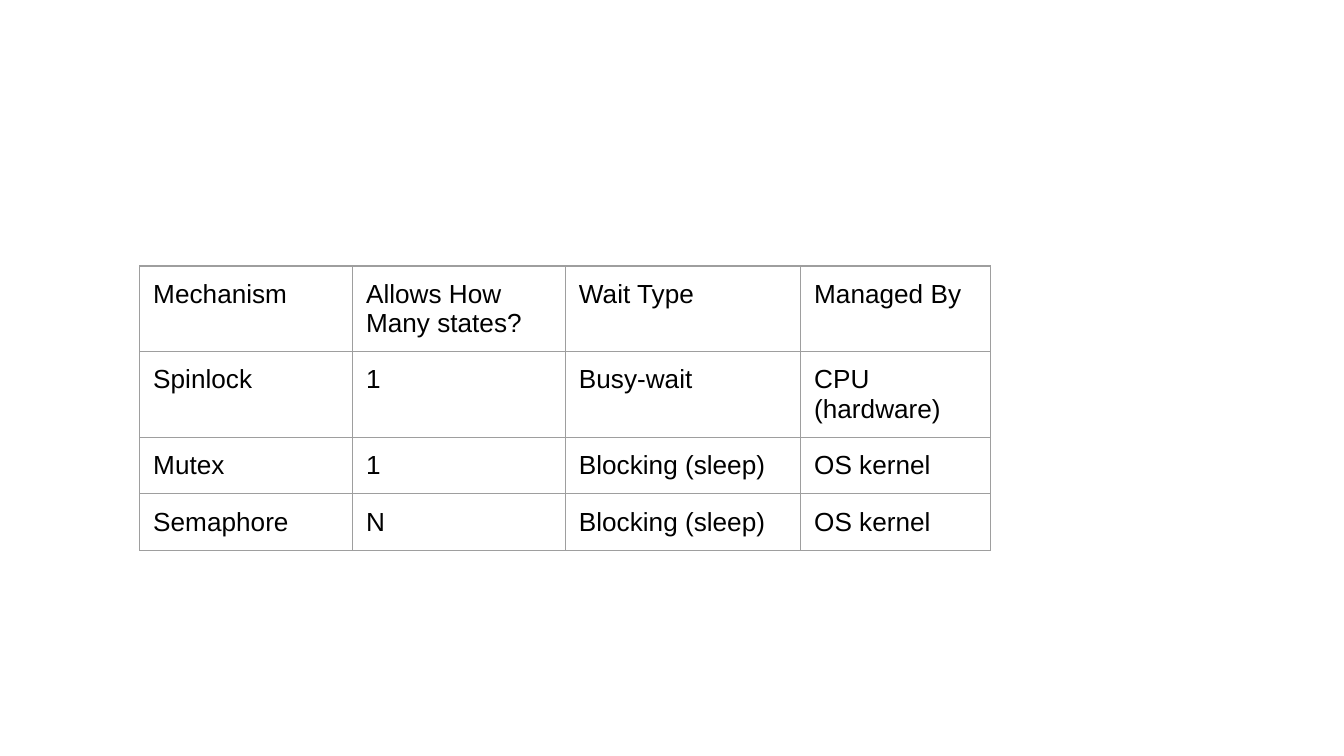
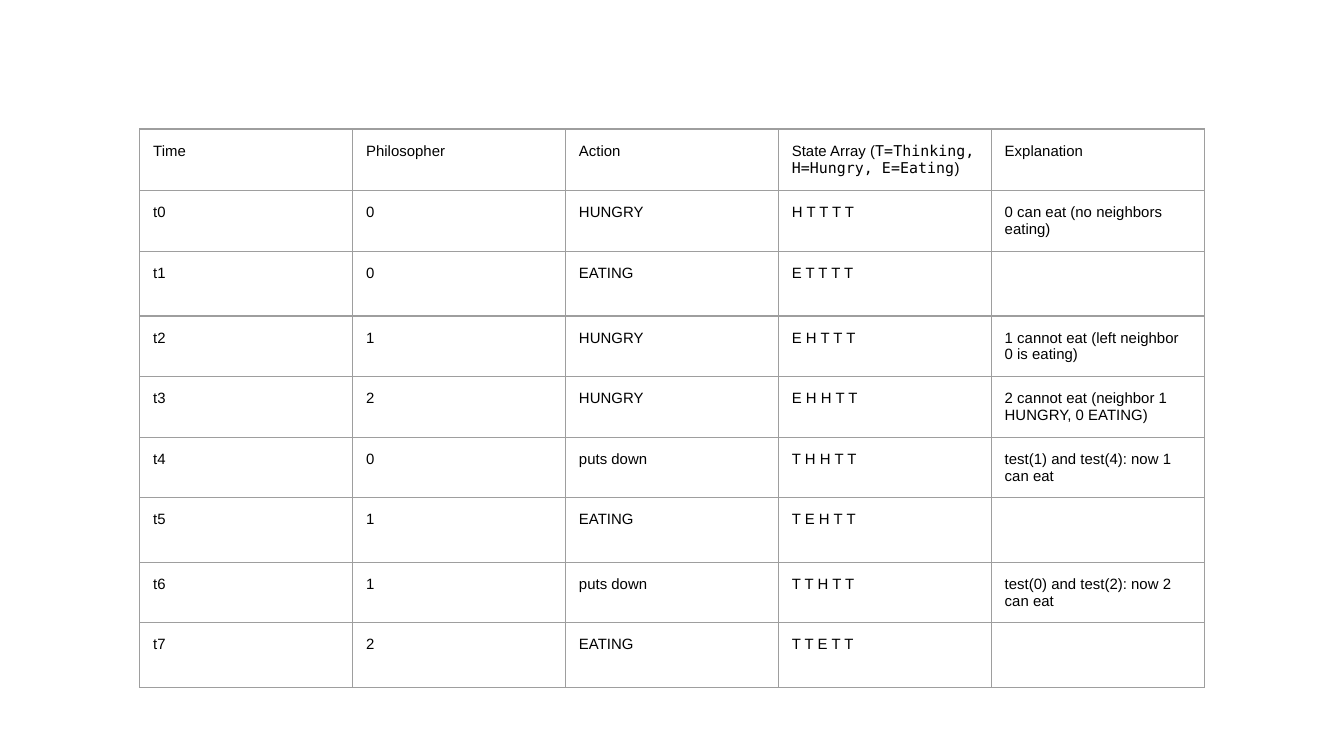
import pptx
import pptx.dml.color
import pptx.util
from lxml import etree
from pptx.oxml.ns import qn

Inches = pptx.util.Inches
Pt = pptx.util.Pt

COLORS = {"text": "000000", "border": "9E9E9E"}
FONT = "Arial"
MONO = "DejaVu Sans Mono"
LEFT = 1.04
MARGIN = 0.1
BORDER_WIDTH = 0.75
ROW_HEIGHT = 0.42
COLUMN_WIDTH = 7.92 / 5
EMPTY_SIZE = 18

MECHANISMS = [
    ["Mechanism", "Allows How Many states?", "Wait Type", "Managed By"],
    ["Spinlock", "1", "Busy-wait", "CPU (hardware)"],
    ["Mutex", "1", "Blocking (sleep)", "OS kernel"],
    ["Semaphore", "N", "Blocking (sleep)", "OS kernel"],
]

# A cell given as a list holds (text, font) runs.
STATE_HEADER = [
    ("State Array (", FONT),
    ("T=Thinking, H=Hungry, E=Eating", MONO),
    (")", FONT),
]
PHILOSOPHERS = [
    ["Time", "Philosopher", "Action", STATE_HEADER, "Explanation"],
    ["t0", "0", "HUNGRY", "H T T T T", "0 can eat (no neighbors eating)"],
    ["t1", "0", "EATING", "E T T T T", ""],
    ["t2", "1", "HUNGRY", "E H T T T", "1 cannot eat (left neighbor 0 is eating)"],
    ["t3", "2", "HUNGRY", "E H H T T", "2 cannot eat (neighbor 1 HUNGRY, 0 EATING)"],
    ["t4", "0", "puts down", "T H H T T", "test(1) and test(4): now 1 can eat"],
    ["t5", "1", "EATING", "T E H T T", ""],
    ["t6", "1", "puts down", "T T H T T", "test(0) and test(2): now 2 can eat"],
    ["t7", "2", "EATING", "T T E T T", ""],
]


class Deck:
    """Holds the presentation, its style and the current slide."""

    def __init__(self):
        self.prs = pptx.Presentation()
        self.prs.slide_width = Inches(10)
        self.prs.slide_height = self.prs.slide_width * 9 // 16
        self.s = None

    def slide(self):
        self.s = self.prs.slides.add_slide(self.prs.slide_layouts[6])

    def borders(self, cell):
        tcPr = cell._tc.get_or_add_tcPr()
        for side in ("a:lnL", "a:lnR", "a:lnT", "a:lnB"):
            ln = etree.SubElement(tcPr, qn(side), w=str(Pt(BORDER_WIDTH)))
            fill = etree.SubElement(ln, qn("a:solidFill"))
            etree.SubElement(fill, qn("a:srgbClr"), val=COLORS["border"])

    def empty(self, p):
        """Give an empty paragraph the font that sets its line height."""
        end = etree.SubElement(p._p, qn("a:endParaRPr"), sz=str(EMPTY_SIZE * 100))
        etree.SubElement(end, qn("a:latin"), typeface=FONT)

    def cell(self, cell, content, size):
        cell.margin_left = cell.margin_right = Inches(MARGIN)
        cell.margin_top = cell.margin_bottom = Inches(MARGIN)
        self.borders(cell)
        cell.fill.background()
        p = cell.text_frame.paragraphs[0]
        if not content:
            self.empty(p)
            return
        p.font.size = Pt(size)
        p.font.color.rgb = pptx.dml.color.RGBColor.from_string(COLORS["text"])
        if isinstance(content, str):
            p.font.name = FONT
            p.add_run().text = content
            return
        for text, font in content:
            r = p.add_run()
            r.text = text
            r.font.name = font

    def table(self, top, widths, heights, rows, size):
        frame = self.s.shapes.add_table(
            len(rows), len(widths), Inches(LEFT), Inches(top),
            Inches(sum(widths)), Inches(sum(heights)))
        table = frame.table
        table.first_row = table.horz_banding = False
        for column, width in zip(table.columns, widths):
            column.width = Inches(width)
        for row, height, contents in zip(table.rows, heights, rows):
            row.height = Inches(height)
            for cell, content in zip(row.cells, contents):
                self.cell(cell, content, size)


def main():
    deck = Deck()
    deck.slide()
    deck.table(1.98, [COLUMN_WIDTH, COLUMN_WIDTH, 1.75, 1.41],
               [ROW_HEIGHT] * len(MECHANISMS), MECHANISMS, 14)
    deck.slide()
    deck.table(0.96, [COLUMN_WIDTH] * 5,
               [0.11] + [ROW_HEIGHT] * (len(PHILOSOPHERS) - 1), PHILOSOPHERS, 8)
    deck.prs.save("out.pptx")


if __name__ == "__main__":
    main()
